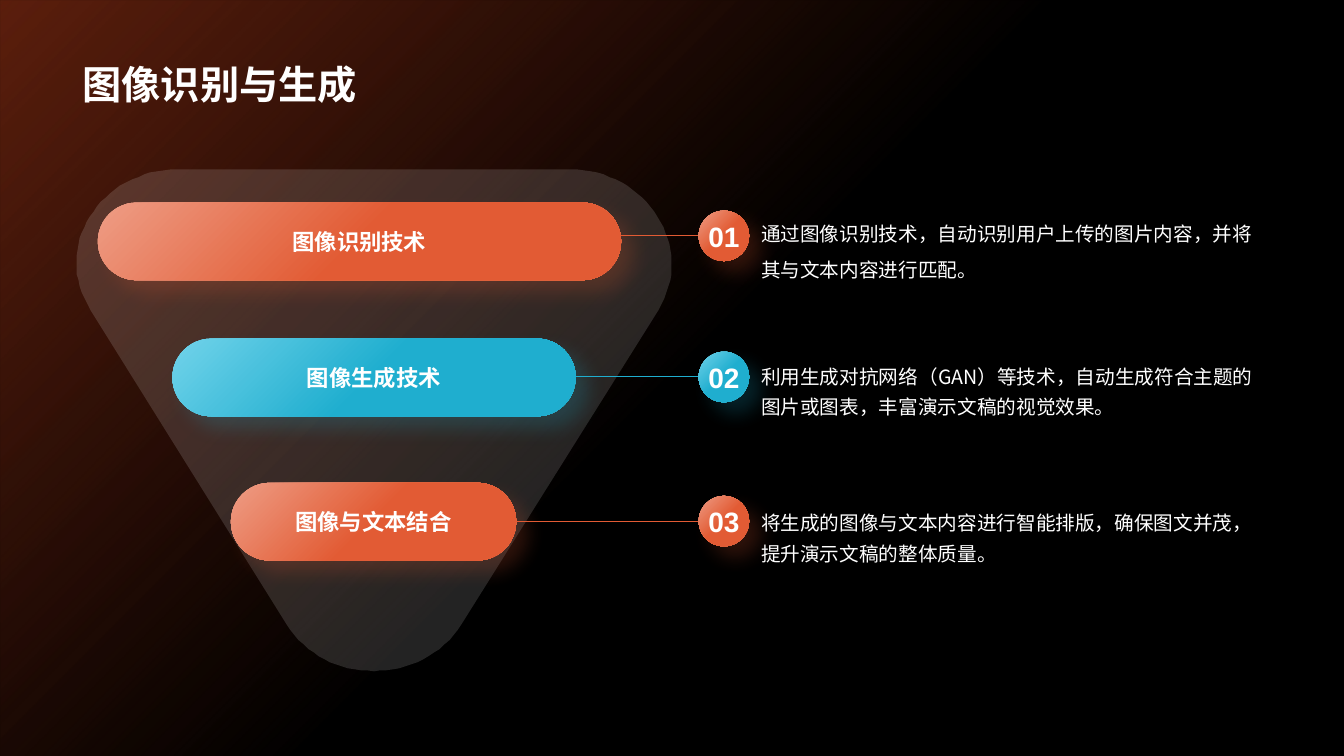
from dataclasses import dataclass
from itertools import pairwise

from lxml import etree
from pptx import Presentation
from pptx import util as u
from pptx.dml import color
from pptx.enum import shapes, text
from pptx.oxml import ns

PX = 9144
WIDTH, HEIGHT = 1333, 750
CJK = "Noto Sans CJK SC"
WHITE = "FFFFFF"
ORANGE = ("EE9D85", "E25B34")
CYAN = ("71D3EA", "1FAECF")
PILL_HEIGHT = 77
BALL_LEFT, BALL_SIZE = 693, 50
DETAIL_LEFT, DETAIL_WIDTH = 745, 519
FUNNEL_START = (565, 168)
FUNNEL_CURVES = [
    ((565, 168), (642, 168), (691, 246), (653, 308)),
    ((458, 619), (419, 681), (322, 681), (284, 619)),
    ((90, 308), (50, 246), (99, 168), (177, 168)),
]


@dataclass
class Row:
    number: str
    label: str
    detail: str
    tones: tuple[str, str]
    pill_left: int
    pill_top: int
    pill_width: int
    line_end: int
    ball_top: int
    detail_top: int
    detail_height: int
    spacing: float


ROWS = [
    Row("01", "图像识别技术", "通过图像识别技术，自动识别用户上传的图片内容，并将其与文本内容进行匹配。",
        ORANGE, 97, 201, 519, 602, 209, 204, 50, 1.5),
    Row("02", "图像生成技术", "利用生成对抗网络（GAN）等技术，自动生成符合主题的图片或图表，丰富演示文稿的视觉效果。",
        CYAN, 171, 336, 400, 561, 349, 350, 44, 1.3),
    Row("03", "图像与文本结合", "将生成的图像与文本内容进行智能排版，确保图文并茂，提升演示文稿的整体质量。",
        ORANGE, 229, 479, 283, 491, 492, 495, 44, 1.3),
]


def px(*lengths: int) -> list[u.Emu]:
    return [u.Emu(length * PX) for length in lengths]


def rgb(value: str) -> color.RGBColor:
    return color.RGBColor.from_string(value)


def add_element(parent, tag: str, **attributes):
    child = etree.SubElement(parent, ns.qn(tag))
    for name, value in attributes.items():
        child.set(name, str(value))
    return child


def set_alpha(shape, *percents: int) -> None:
    colours = list(shape._element.spPr.iter(ns.qn("a:srgbClr")))
    for colour, percent in zip(colours, percents):
        add_element(colour, "a:alpha", val=percent * 1000)


def set_gradient(shape, first: str, second: str) -> None:
    shape.fill.gradient()
    shape.fill.gradient_angle = 315
    for stop, tone, position in zip(shape.fill.gradient_stops, (first, second), (0, 0.5)):
        stop.color.rgb = rgb(tone)
        stop.position = position


def add_glow_shadow(shape, tone: str) -> None:
    effects = shape._element.spPr.find(ns.qn("a:effectLst"))
    shadow = add_element(effects, "a:outerShdw", blurRad=u.Pt(14), dist=u.Pt(12),
                         dir=45 * 60000, algn="tl", rotWithShape=0)
    colour = add_element(shadow, "a:srgbClr", val=tone)
    add_element(colour, "a:alpha", val=20000)


def write(shape, words: str, *, size: int, font: str = CJK, bold: bool = False,
          align=text.PP_ALIGN.LEFT, anchor=text.MSO_ANCHOR.TOP,
          spacing: float = 1.0, margin: int | None = None) -> None:
    frame = shape.text_frame
    frame.word_wrap = True
    frame.vertical_anchor = anchor
    if margin is not None:
        frame.margin_left = frame.margin_right = margin
        frame.margin_top = frame.margin_bottom = margin
    para = frame.paragraphs[0]
    para.alignment = align
    para.line_spacing = spacing
    span = para.add_run()
    span.text = words
    span.font.size = u.Pt(size)
    span.font.bold = bold
    span.font.color.rgb = rgb(WHITE)
    span.font.name = font
    add_element(span.font._element, "a:ea", typeface=font)


def add_plain(page, kind, left: int, top: int, width: int, height: int):
    shape = page.shapes.add_shape(kind, *px(left, top, width, height))
    shape.shadow.inherit = False
    shape.line.fill.background()
    return shape


def curve_points(start, first, second, end, steps: int = 32):
    for step in range(steps + 1):
        t = step / steps
        weights = ((1 - t) ** 3, 3 * t * (1 - t) ** 2, 3 * t * t * (1 - t), t ** 3)
        yield tuple(sum(w * point[axis] for w, point in zip(weights, (start, first, second, end)))
                    for axis in (0, 1))


def add_backdrop(page) -> None:
    page.background.fill.solid()
    page.background.fill.fore_color.rgb = rgb("000000")
    backdrop = add_plain(page, shapes.MSO_SHAPE.RECTANGLE, 0, 0, WIDTH, HEIGHT)
    set_gradient(backdrop, "B63D1A", "B63D1A")
    set_alpha(backdrop, 50, 0)
    page.shapes._spTree.insert(2, backdrop._element)


def add_title(page, words: str) -> None:
    title = page.shapes.title
    title.left, title.top, title.width, title.height = px(72, 0, 1188, 112)
    write(title, words, size=28, bold=True, anchor=text.MSO_ANCHOR.BOTTOM)


def add_funnel(page) -> None:
    outline = [point for curve in FUNNEL_CURVES for point in curve_points(*curve)]
    builder = page.shapes.build_freeform(*FUNNEL_START, scale=PX)
    builder.add_line_segments([after for before, after in pairwise(outline) if after != before])
    funnel = builder.convert_to_shape()
    funnel.shadow.inherit = False
    funnel.line.fill.background()
    funnel.fill.solid()
    funnel.fill.fore_color.rgb = rgb("F0F0F0")
    set_alpha(funnel, 15)


def add_glowing(page, kind, tones: tuple[str, str], *bounds: int):
    shape = add_plain(page, kind, *bounds)
    set_gradient(shape, *tones)
    add_glow_shadow(shape, tones[1])
    return shape


def add_leader(page, row: Row) -> None:
    middle = row.ball_top + BALL_SIZE // 2
    leader = page.shapes.add_connector(shapes.MSO_CONNECTOR.STRAIGHT,
                                       *px(BALL_LEFT, middle, row.line_end, middle))
    leader.line.color.rgb = rgb(row.tones[1])
    leader.line.width = u.Pt(0.75)
    add_element(leader.line._get_or_add_ln(), "a:tailEnd", type="oval")
    add_element(leader._element.spPr, "a:effectLst")


def add_row(page, row: Row) -> None:
    centred = {"align": text.PP_ALIGN.CENTER, "anchor": text.MSO_ANCHOR.MIDDLE, "bold": True}
    pill = add_glowing(page, shapes.MSO_SHAPE.ROUNDED_RECTANGLE, row.tones,
                       row.pill_left, row.pill_top, row.pill_width, PILL_HEIGHT)
    pill.adjustments[0] = 0.5
    write(pill, row.label, size=16, **centred)
    add_leader(page, row)
    ball = add_glowing(page, shapes.MSO_SHAPE.OVAL, row.tones,
                       BALL_LEFT, row.ball_top, BALL_SIZE, BALL_SIZE)
    write(ball, row.number, size=20, font="Arial", margin=0, **centred)
    box = page.shapes.add_textbox(*px(DETAIL_LEFT, row.detail_top, DETAIL_WIDTH, row.detail_height))
    write(box, row.detail, size=14, spacing=row.spacing)
    box.text_frame.auto_size = text.MSO_AUTO_SIZE.SHAPE_TO_FIT_TEXT


def main() -> None:
    """Build the slide on image recognition and generation."""
    deck = Presentation()
    deck.slide_width, deck.slide_height = px(WIDTH, HEIGHT)
    page = deck.slides.add_slide(deck.slide_layouts[5])
    add_backdrop(page)
    add_title(page, "图像识别与生成")
    add_funnel(page)
    for row in ROWS:
        add_row(page, row)
    deck.save("out.pptx")


if __name__ == "__main__":
    main()
